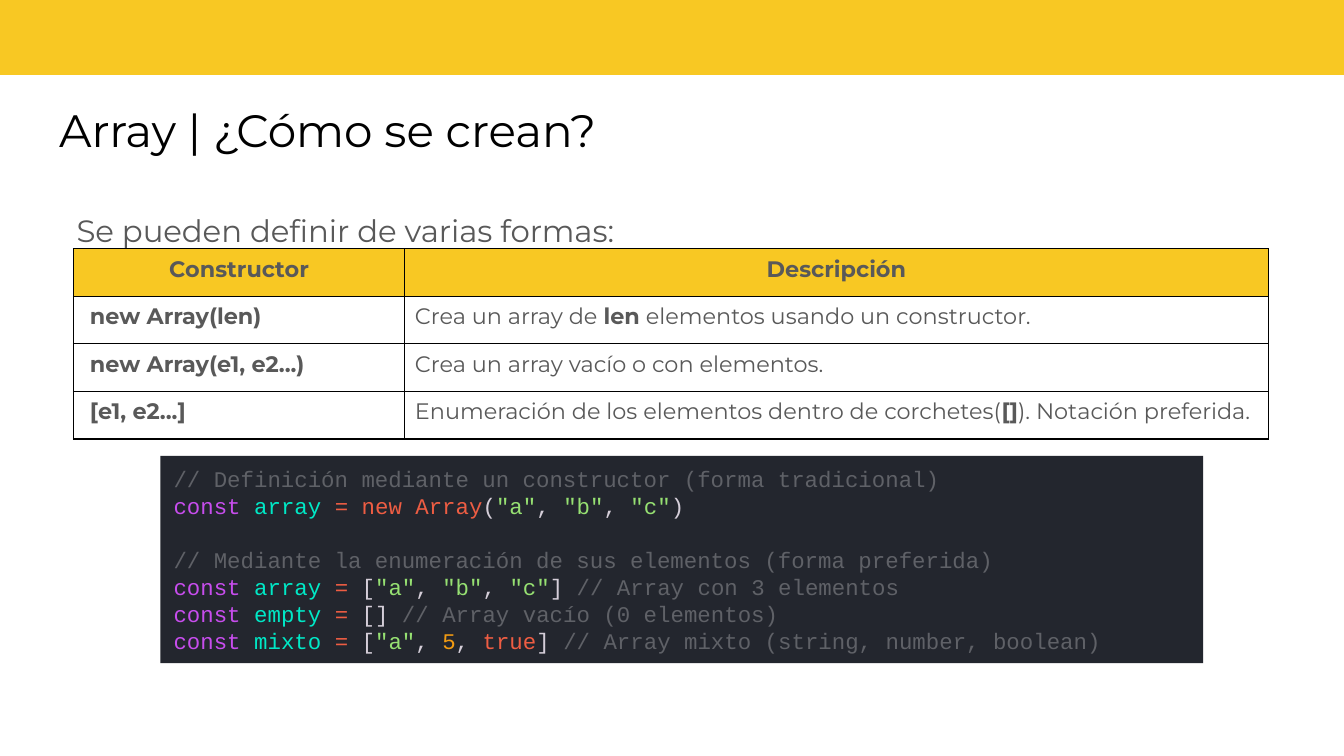
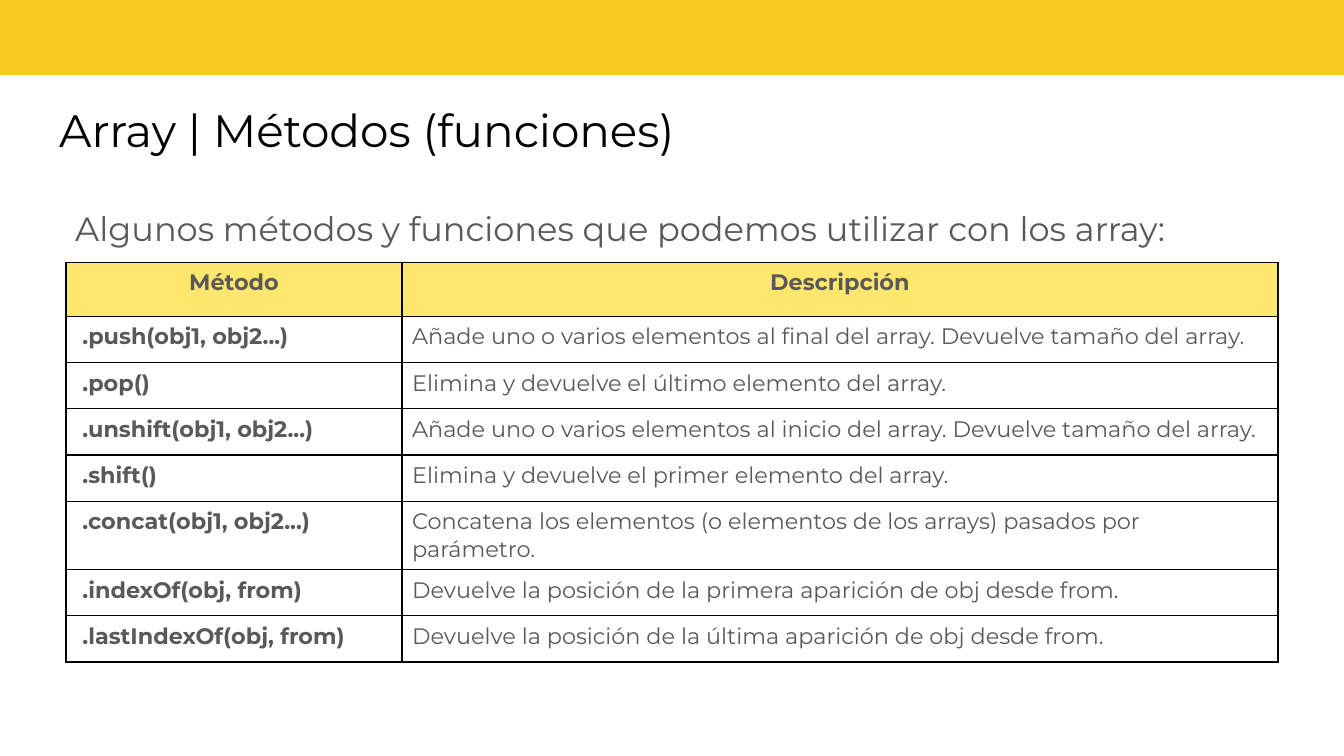
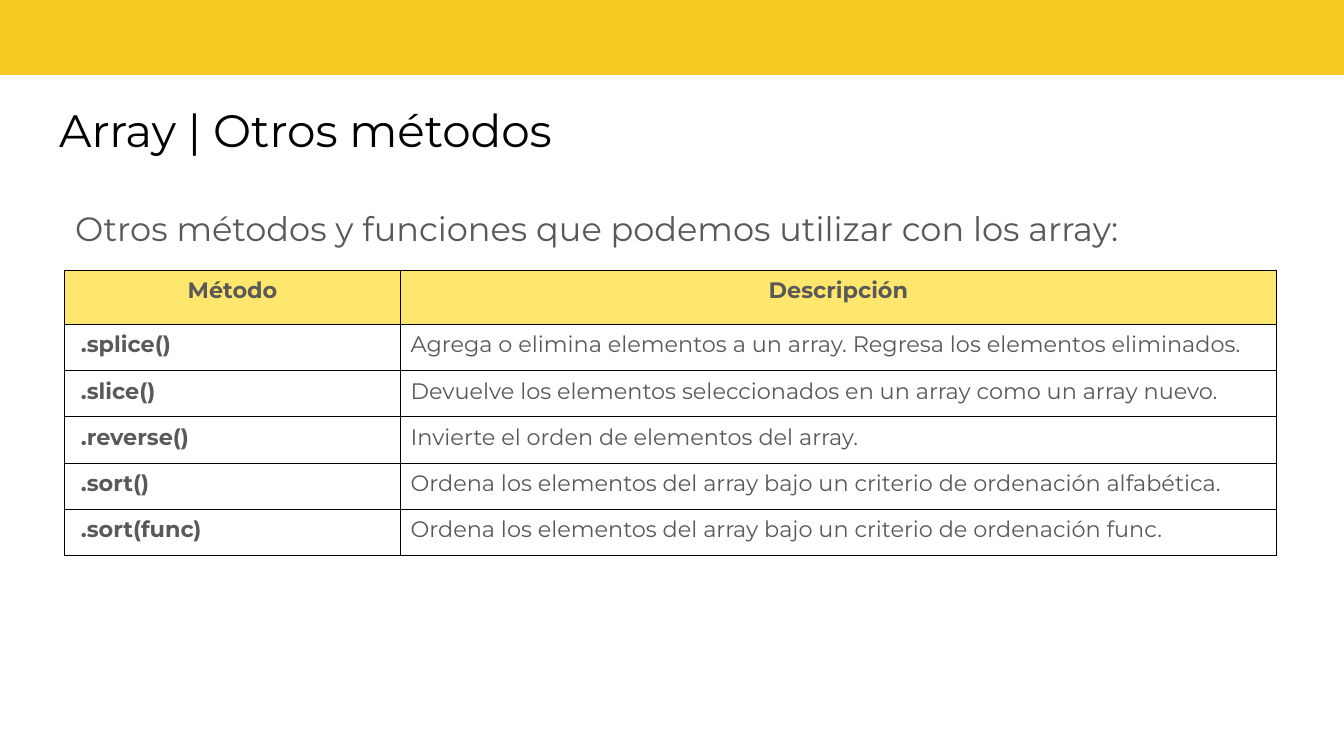
"""Builds three slides on arrays: how to make them and their methods."""
from lxml.etree import SubElement
from pptx import Presentation
from pptx.dml.color import RGBColor
from pptx.enum.shapes import MSO_SHAPE
from pptx.enum.text import MSO_ANCHOR, MSO_AUTO_SIZE, PP_ALIGN
from pptx.oxml.ns import qn
from pptx.util import Pt

HUES = {
    "band": "F8C823", "pale": "FFE66D", "ink": "000000", "text": "595959",
    "dark": "23262E", "note": "5F6167", "key": "C74DED", "name": "00E8C6",
    "op": "EE5D43", "mark": "D5CED9", "str": "96E072", "num": "F39C12",
}
FONT = "Montserrat"
MONO = "Courier New"

DECK = [
    {
        "title": "Array | ¿Cómo se crean?",
        "lead": "Se pueden definir de varias formas:",
        "size": 16.5, "spot": (33.8, 103), "after": 0,
        "grid": (39.4, 133.2), "cols": (177.5, 462.5),
        "high": (25.5, 25.5), "head": "band",
        "rows": [
            ("Constructor", "Descripción"),
            ("new Array(len)", "Crea un array de *len* elementos usando un constructor."),
            ("new Array(e1, e2...)", "Crea un array vacío o con elementos."),
            ("[e1, e2...]", "Enumeración de los elementos dentro de corchetes(*[]*). Notación preferida."),
        ],
    },
    {
        "title": "Array | Métodos (funciones)",
        "lead": "Algunos métodos y funciones que podemos utilizar con los array:",
        "size": 18, "spot": (33.1, 100.8), "after": 12,
        "grid": (35.4, 140.6), "cols": (180, 469.2),
        "high": (28.9, 24.8), "head": "pale",
        "rows": [
            ("Método", "Descripción"),
            (".push(obj1, obj2...)", "Añade uno o varios elementos al final del array. Devuelve tamaño del array."),
            (".pop()", "Elimina y devuelve el último elemento del array."),
            (".unshift(obj1, obj2...)", "Añade uno o varios elementos al inicio del array. Devuelve tamaño del array."),
            (".shift()", "Elimina y devuelve el primer elemento del array."),
            (".concat(obj1, obj2...)", "Concatena los elementos (o elementos de los arrays) pasados por parámetro."),
            (".indexOf(obj, from)", "Devuelve la posición de la primera aparición de obj desde from."),
            (".lastIndexOf(obj, from)", "Devuelve la posición de la última aparición de obj desde from."),
        ],
    },
    {
        "title": "Array | Otros métodos",
        "lead": "Otros métodos y funciones que podemos utilizar con los array:",
        "size": 18, "spot": (33.1, 100.8), "after": 12,
        "grid": (34.6, 144.9), "cols": (180, 469.2),
        "high": (28.9, 24.8), "head": "pale",
        "rows": [
            ("Método", "Descripción"),
            (".splice()", "Agrega o elimina elementos a un array. Regresa los elementos eliminados."),
            (".slice()", "Devuelve los elementos seleccionados en un array como un array nuevo."),
            (".reverse()", "Invierte el orden de elementos del array."),
            (".sort()", "Ordena los elementos del array bajo un criterio de ordenación alfabética."),
            (".sort(func)", "Ordena los elementos del array bajo un criterio de ordenación func."),
        ],
    },
]

ABC = [("str", '"a"'), ("mark", ", "), ("str", '"b"'), ("mark", ", "), ("str", '"c"')]
CODE = [
    [("note", "// Definición mediante un constructor (forma tradicional)")],
    [("key", "const "), ("name", "array "), ("op", "= new Array"), ("mark", "("),
     *ABC, ("mark", ")")],
    [("note", "// Mediante la enumeración de sus elementos (forma preferida)")],
    [("key", "const "), ("name", "array "), ("op", "="), ("mark", " ["),
     *ABC, ("mark", "] "), ("note", "// Array con 3 elementos")],
    [("key", "const "), ("name", "empty "), ("op", "="), ("mark", " [] "),
     ("note", "// Array vacío (0 elementos)")],
    [("key", "const "), ("name", "mixto "), ("op", "="), ("mark", " ["),
     ("str", '"a"'), ("mark", ", "), ("num", "5"), ("mark", ", "), ("op", "true"),
     ("mark", "] "), ("note", "// Array mixto (string, number, boolean)")],
]
GAP = 2
LINE = 14.4


def tint(hue):
    return RGBColor.from_string(HUES[hue])


def put(para, text, size, hue="text", bold=False, face=FONT):
    run = para.add_run()
    run.text = text
    font = run.font
    font.name, font.size, font.bold = face, Pt(size), bold
    font.color.rgb = tint(hue)


def place(shape, left, top, width, height):
    shape.left, shape.top = Pt(left), Pt(top)
    shape.width, shape.height = Pt(width), Pt(height)


def block(slide, hue, *box):
    shape = slide.shapes.add_shape(MSO_SHAPE.RECTANGLE, *map(Pt, box))
    shape.shadow.inherit = False
    shape.fill.solid()
    shape.fill.fore_color.rgb = tint(hue)
    shape.line.fill.background()
    return shape


def fit(shape, anchor):
    frame = shape.text_frame
    frame.word_wrap = True
    frame.auto_size = MSO_AUTO_SIZE.NONE
    frame.vertical_anchor = anchor
    frame.margin_left = frame.margin_right = Pt(7.2)
    frame.margin_top = frame.margin_bottom = Pt(7.2)
    para = frame.paragraphs[0]
    para.alignment = PP_ALIGN.LEFT
    para.space_before = Pt(0)
    return para


def write(slide, part):
    title, body = slide.placeholders
    place(title, 24.5, 46.8, 669.6, 45.4)
    put(fit(title, MSO_ANCHOR.MIDDLE), part["title"], 24.3, "ink")
    place(body, *part["spot"], 652.3, 261.4)
    para = fit(body, MSO_ANCHOR.TOP)
    para.line_spacing = 1.15
    para.space_after = Pt(part["after"])
    props = para._p.get_or_add_pPr()
    props.set("marL", "0")
    props.set("indent", "0")
    SubElement(props, qn("a:buNone"))
    put(para, part["lead"], part["size"])


def edge(cell):
    props = cell._tc.get_or_add_tcPr()
    for side in ("lnL", "lnR", "lnT", "lnB"):
        line = SubElement(props, qn(f"a:{side}"), w=str(Pt(0.75)))
        fill = SubElement(line, qn("a:solidFill"))
        SubElement(fill, qn("a:srgbClr"), val=HUES["ink"])


def chart_rows(slide, part):
    rows, cols = part["rows"], part["cols"]
    first, rest = part["high"]
    tall = first + rest * (len(rows) - 1)
    box = (*part["grid"], sum(cols), tall)
    table = slide.shapes.add_table(len(rows), len(cols), *map(Pt, box)).table
    table.first_row = table.horz_banding = False
    for col, wide in zip(table.columns, cols):
        col.width = Pt(wide)
    for i, row in enumerate(rows):
        table.rows[i].height = Pt(rest if i else first)
        for j, text in enumerate(row):
            cell = table.cell(i, j)
            edge(cell)
            cell.margin_left = cell.margin_right = Pt(5.4)
            cell.margin_top = cell.margin_bottom = Pt(3.6)
            para = cell.text_frame.paragraphs[0]
            if i == 0:
                cell.fill.solid()
                cell.fill.fore_color.rgb = tint(part["head"])
                para.alignment = PP_ALIGN.CENTER
                put(para, text, 12, bold=True)
                continue
            cell.fill.background()
            if j == 0:
                put(para, f" {text}", 12, bold=True)
                continue
            for k, bit in enumerate(text.split("*")):
                put(para, bit, 12, bold=k % 2 == 1)


def show_code(slide):
    shape = block(slide, "dark", 85.9, 244.3, 558.7, 111)
    para = fit(shape, MSO_ANCHOR.MIDDLE)
    frame = shape.text_frame
    frame.margin_top = frame.margin_bottom = Pt(3.6)
    for i, line in enumerate(CODE):
        if i:
            para = frame.add_paragraph()
        para.alignment = PP_ALIGN.LEFT
        para.line_spacing = Pt(LINE)
        para.space_before = Pt(LINE if i == GAP else 0)
        for hue, text in line:
            put(para, text, 12, hue, face=MONO)


def main():
    deck = Presentation()
    deck.slide_width, deck.slide_height = Pt(720), Pt(405)
    base = deck.slide_layouts[1]
    slides = [deck.slides.add_slide(base) for _ in DECK]
    band = block(slides[0], "band", -0.7, -3.6, 722, 43.8)
    base.shapes.element.insert(2, band.element)
    for slide, part in zip(slides, DECK):
        write(slide, part)
        chart_rows(slide, part)
    show_code(slides[0])
    deck.save("out.pptx")


if __name__ == "__main__":
    main()
